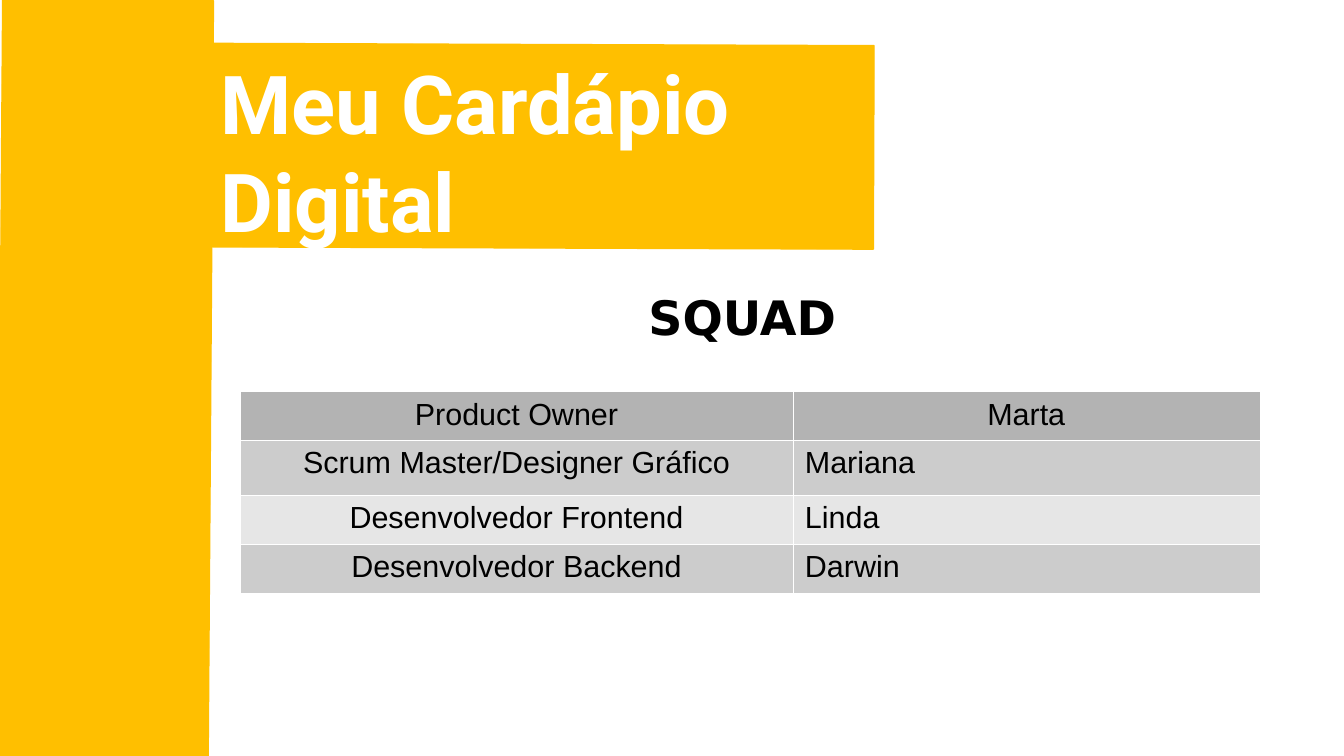
"""Build the squad slide: title on yellow bands above a table of roles."""
import pptx
import pptx.dml.color
import pptx.enum.shapes
import pptx.enum.text
import pptx.oxml
import pptx.oxml.ns
import pptx.util

Inches = pptx.util.Inches
Pt = pptx.util.Pt
Align = pptx.enum.text.PP_ALIGN

TITLE = "Meu Cardápio Digital"
HEADING = "SQUAD"
SQUAD = [
    ("Product Owner", "Marta"),
    ("Scrum Master/Designer Gráfico", "Mariana"),
    ("Desenvolvedor Frontend", "Linda"),
    ("Desenvolvedor Backend", "Darwin"),
]
BANDS = [
    ((0, 0, 1.73, 6.2), 0.4),
    ((3.62, -1.51, 1.67, 5.42), 90.2),
]
TITLE_BOX = (1.71, 0.39, 5.42, 1.65)
HEADING_BOX = (3.94, 2.31, 4.29, 0.49)
TABLE_ORIGIN = (1.97, 3.21)
COLUMN_WIDTHS = (4.53, 3.83)
ROW_HEIGHTS = (0.38, 0.45, 0.38, 0.38)

THEME = {
    "band": "FFBF00",
    "title": {"name": "Roboto", "size": 48, "color": "FFFFFF", "bold": True},
    "heading": {"name": "DejaVu Sans", "size": 28, "color": "000000", "bold": True},
    "cell": {"name": "Arial", "size": 18, "color": "000000", "bold": False},
    "header_fill": "B3B3B3",
    "row_fills": ("CCCCCC", "E6E6E6"),
    "border": "FFFFFF",
    "border_width": 0.06,
}


def rgb(value):
    return pptx.dml.color.RGBColor.from_string(value)


def write(text_frame, text, style, alignment):
    text_frame.word_wrap = True
    paragraph = text_frame.paragraphs[0]
    paragraph.text = text
    paragraph.alignment = alignment
    font = paragraph.font
    font.name = style["name"]
    font.size = Pt(style["size"])
    font.bold = style["bold"]
    font.color.rgb = rgb(style["color"])


def add_band(slide, box, rotation):
    rectangle = pptx.enum.shapes.MSO_SHAPE.RECTANGLE
    band = slide.shapes.add_shape(rectangle, *map(Inches, box))
    band.rotation = rotation
    band.shadow.inherit = False
    band.fill.solid()
    band.fill.fore_color.rgb = rgb(THEME["band"])
    band.line.color.rgb = rgb(THEME["band"])
    band.line.width = Pt(0.75)


def add_text(slide, box, text, style, alignment):
    textbox = slide.shapes.add_textbox(*map(Inches, box))
    write(textbox.text_frame, text, style, alignment)


def set_borders(cell):
    properties = cell._tc.get_or_add_tcPr()
    for position, side in enumerate(("lnL", "lnR", "lnT", "lnB")):
        border = pptx.oxml.parse_xml(
            f'<a:{side} {pptx.oxml.ns.nsdecls("a")} w="{Pt(THEME["border_width"])}">'
            f'<a:solidFill><a:srgbClr val="{THEME["border"]}"/></a:solidFill></a:{side}>'
        )
        properties.insert(position, border)


def add_squad_table(slide):
    size = (sum(COLUMN_WIDTHS), sum(ROW_HEIGHTS))
    frame = slide.shapes.add_table(
        len(SQUAD), len(COLUMN_WIDTHS), *map(Inches, TABLE_ORIGIN + size)
    )
    table = frame.table
    for column, width in zip(table.columns, COLUMN_WIDTHS):
        column.width = Inches(width)
    for row, height in zip(table.rows, ROW_HEIGHTS):
        row.height = Inches(height)
    for row_index, member in enumerate(SQUAD):
        is_header = row_index == 0
        fill = THEME["header_fill"] if is_header else THEME["row_fills"][(row_index - 1) % 2]
        for column_index, text in enumerate(member):
            cell = table.cell(row_index, column_index)
            centred = is_header or column_index == 0
            write(cell.text_frame, text, THEME["cell"], Align.CENTER if centred else Align.LEFT)
            cell.fill.solid()
            cell.fill.fore_color.rgb = rgb(fill)
            set_borders(cell)


def main():
    presentation = pptx.Presentation()
    presentation.slide_width = Inches(11.02)
    presentation.slide_height = Inches(6.2)
    slide = presentation.slides.add_slide(presentation.slide_layouts[6])
    for box, rotation in BANDS:
        add_band(slide, box, rotation)
    add_text(slide, TITLE_BOX, TITLE, THEME["title"], Align.LEFT)
    add_text(slide, HEADING_BOX, HEADING, THEME["heading"], Align.CENTER)
    add_squad_table(slide)
    presentation.save("out.pptx")


if __name__ == "__main__":
    main()
